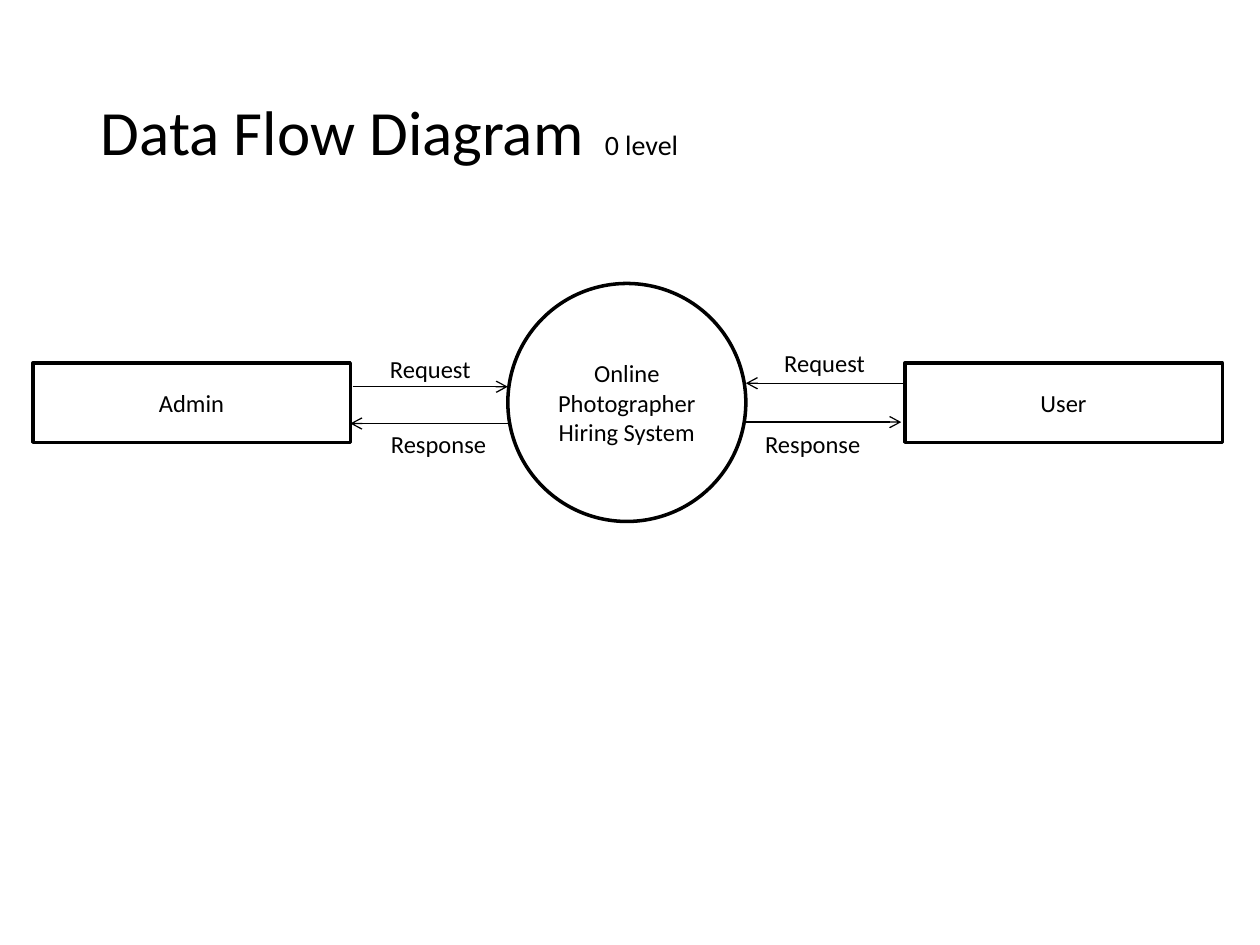
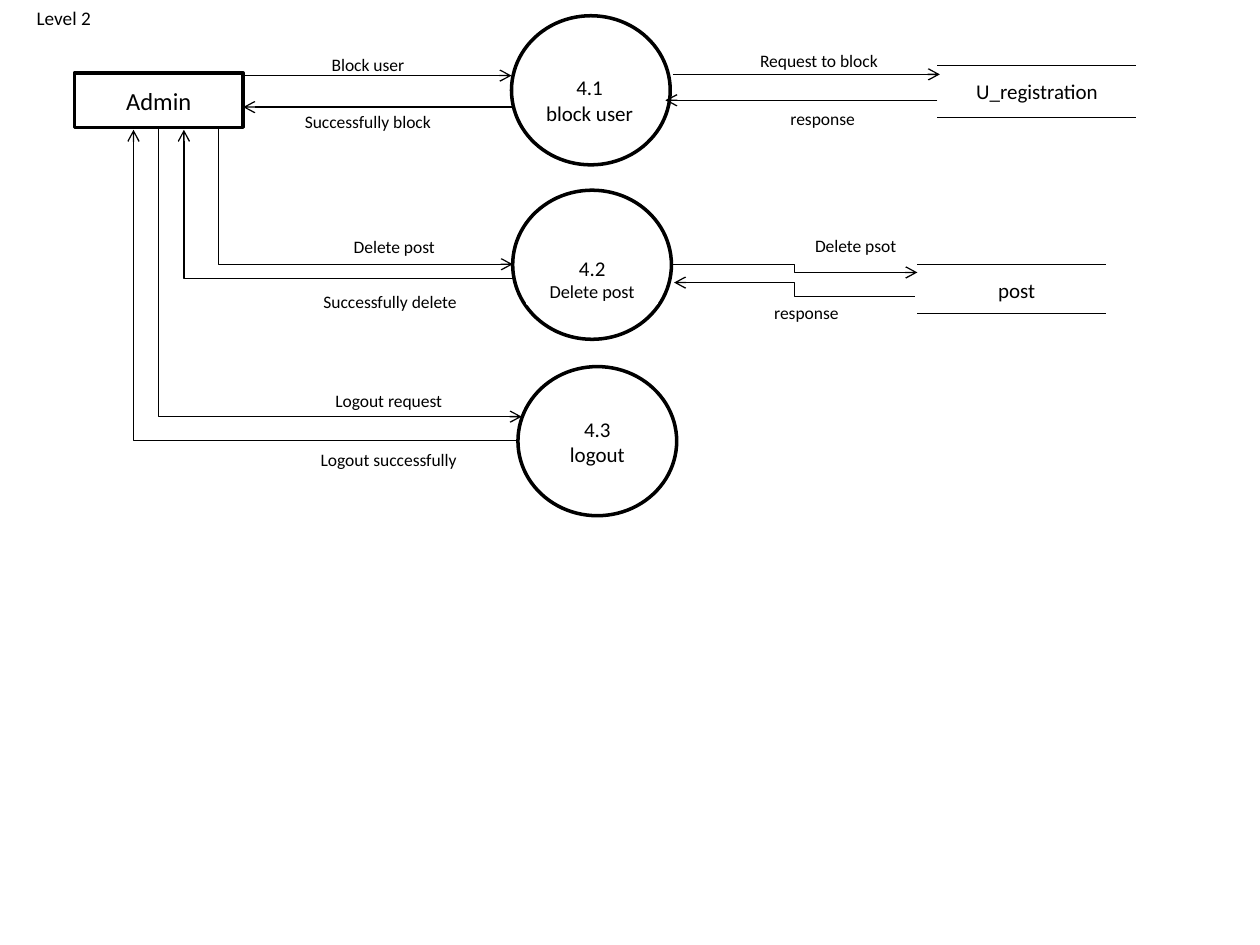
from lxml.etree import SubElement
from pptx import Presentation
from pptx.dml.color import RGBColor
from pptx.enum.shapes import MSO_CONNECTOR as Link, MSO_SHAPE as Shape
from pptx.enum.text import MSO_ANCHOR as Anchor, PP_ALIGN as Align
from pptx.oxml.ns import qn
from pptx.util import Pt

FONT = "Calibri"
BLACK, WHITE = "000000", "FFFFFF"
color = RGBColor.from_string


def add_node(slide, kind, box, outline, text="", size=10):
    """White shape with centred text; box is left, top, width, height in points."""
    node = slide.shapes.add_shape(kind, *map(Pt, box))
    node.shadow.inherit = False
    node.fill.solid()
    node.fill.fore_color.rgb = color(WHITE)
    node.line.color.rgb = color(outline)
    node.line.width = Pt(2)
    frame = node.text_frame
    frame.text = text
    frame.word_wrap = True
    frame.vertical_anchor = Anchor.MIDDLE
    frame.margin_left = frame.margin_right = 0
    for paragraph in frame.paragraphs:
        paragraph.alignment = Align.CENTER
        for run in paragraph.runs:
            run.font.name, run.font.size = FONT, Pt(size)
            run.font.color.rgb = color(BLACK)
    return node


def add_flow(slide, start, end, bend=None, arrow=True):
    """Thin line; bend is the share of its width at which an elbow turns."""
    kind = Link.STRAIGHT if bend is None else Link.ELBOW
    flow = slide.shapes.add_connector(kind, *map(Pt, start + end))
    flow.line.color.rgb = color(BLACK)
    flow.line.width = Pt(0.75)
    properties = flow.element.spPr
    if arrow:
        SubElement(properties.find(qn("a:ln")), qn("a:tailEnd"), type="arrow")
    if bend is not None:
        guides = properties.find(qn("a:prstGeom")).find(qn("a:avLst"))
        SubElement(guides, qn("a:gd"), name="adj1", fmla=f"val {round(bend * 100000)}")
    SubElement(properties, qn("a:effectLst"))


deck = Presentation()
deck.slide_width, deck.slide_height = Pt(720), Pt(540)

# Both slides: one body placeholder with a heading line
headings = [
    ((14.4, 49, 692, 433.5), [("\tData Flow Diagram\t", 36), ("0 level", 16)], (163, 599)),
    ((13.7, 0, 692.6, 525), [("Level 2", 11)], ()),
]
for box, parts, tab_stops in headings:
    slide = deck.slides.add_slide(deck.slide_layouts[1])
    title = slide.shapes.title.element
    title.getparent().remove(title)
    body = slide.placeholders[1]
    body.left, body.top, body.width, body.height = map(Pt, box)
    heading = body.text_frame.paragraphs[0]
    for text, size in parts:
        run = heading.add_run()
        run.text = text
        run.font.name, run.font.size = FONT, Pt(size)
        run.font.color.rgb = color(BLACK)
    layout = heading._p.get_or_add_pPr()
    layout.set("marL", "0")
    layout.set("indent", "0")
    SubElement(layout, qn("a:buNone"))
    if tab_stops:
        tabs = SubElement(layout, qn("a:tabLst"))
        for stop in tab_stops:
            SubElement(tabs, qn("a:tab"), pos=str(Pt(stop)), algn="l")

context, level_two = deck.slides

# Level 0: the system between its two users
for left, actor in [(18.7, "Admin"), (517, "User")]:
    add_node(context, Shape.RECTANGLE, (left, 207.5, 181.5, 45.3), BLACK, actor, 14)
add_node(context, Shape.OVAL, (290.2, 162, 136, 136), BLACK,
         "Online Photographer Hiring System", 14)

for start, end in [
    ((201.5, 221), (290.2, 221)),
    ((426.2, 241.2), (515, 241.2)),
    ((291, 242), (200.2, 242)),
    ((517, 219), (426.2, 219)),
]:
    add_flow(context, start, end)

for left, top, width, message in [
    (215.3, 201.8, 61.2, "Request"),
    (440.6, 198.8, 61.2, "Request"),
    (213.2, 244.8, 74.9, "Response"),
    (427, 244.8, 74.9, "Response"),
]:
    add_node(context, Shape.RECTANGLE, (left, top, width, 17.3), WHITE, message, 14)

# Level 2: processes
processes = [
    (292.3, 9, 300.2, 43.2, "4.1\nblock user"),
    (293, 108.7, 301.7, 145.4, "4.2\nDelete post"),
    (296, 209.5, 304.6, 238.3, "4.3\nlogout"),
]
for left, top, label_left, label_top, name in processes:
    add_node(level_two, Shape.OVAL, (left, top, 90.7, 85.2), BLACK)
    process = add_node(level_two, Shape.RECTANGLE, (label_left, label_top, 73.4, 28),
                       WHITE, name, 12)
    if name.endswith("Delete post"):
        process.text_frame.paragraphs[1].runs[0].font.size = Pt(10.5)
add_node(level_two, Shape.RECTANGLE, (42.5, 41.8, 96.5, 31), BLACK, "Admin", 14)

# Data stores, open at both sides
for left, right, top, bottom, label_left, label_top, store in [
    (535.7, 649.4, 37.4, 67, 545.8, 41.8, "U_registration"),
    (524.2, 632.2, 151, 179.3, 534.2, 155.5, "post"),
]:
    for edge in (top, bottom):
        add_flow(level_two, (left, edge), (right, edge), arrow=False)
    add_node(level_two, Shape.RECTANGLE, (label_left, label_top, 93.6, 20.2), WHITE, store, 12)

for start, end, bend in [
    ((139, 43.2), (292.3, 43.2), None),
    ((384.5, 42.5), (537.1, 42.5), None),
    ((535.7, 57.3), (380.2, 57.3), None),
    ((294.5, 61.2), (139, 61.2), None),
    ((125, 72.8), (293, 151), 0),
    ((293, 159.3), (105.1, 74.2), 1),
    ((383.8, 151), (524.2, 155.7), 0.5),
    ((522.7, 169.3), (385.2, 161.5), 0.5),
    ((90.7, 72.8), (298.1, 238.1), 0),
    ((296, 251.6), (76.3, 74.2), 1),
]:
    add_flow(level_two, start, end, bend)

for left, top, width, height, message in [
    (177.1, 31.7, 66.2, 10, "Block user"),
    (163.4, 62.6, 93.6, 13.7, "Successfully block"),
    (422.6, 31.7, 90.7, 5.8, "Request to block"),
    (437, 62.6, 66.2, 10, "response"),
    (455.8, 135.4, 66.2, 10, "Delete psot"),
    (427.7, 173.5, 66.2, 10, "response"),
    (192.2, 136.1, 66.2, 10, "Delete post"),
    (172.1, 162.9, 101.5, 19.4, "Successfully delete"),
    (170.6, 224.6, 103, 8.6, "Logout request"),
    (170.6, 255.6, 103, 13.7, "Logout successfully"),
]:
    add_node(level_two, Shape.RECTANGLE, (left, top, width, height), WHITE, message)

deck.save("out.pptx")
